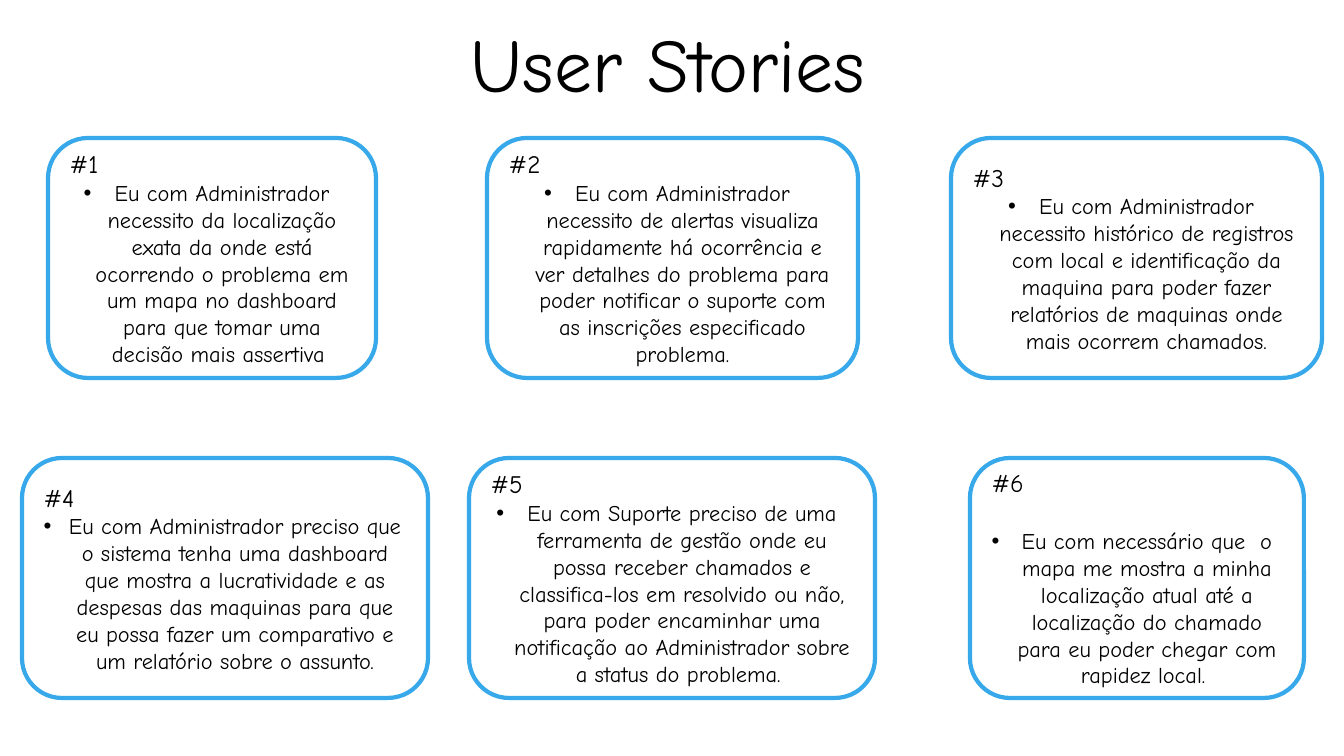
"""Build the User Stories slide: a title above six rounded story cards."""
from dataclasses import dataclass

from lxml.etree import SubElement
from pptx import Presentation
from pptx.dml.color import RGBColor
from pptx.enum.shapes import MSO_SHAPE
from pptx.enum.text import MSO_ANCHOR, MSO_AUTO_SIZE, PP_ALIGN
from pptx.oxml.ns import qn
from pptx.util import Emu, Pt

HEADING = "User Stories "
STORIES = [
    "Eu com Administrador necessito da localização exata da onde está ocorrendo "
    "o problema em um mapa no dashboard para que tomar uma decisão mais assertiva ",
    "Eu com Administrador necessito de alertas visualiza rapidamente há ocorrência e "
    "ver detalhes do problema para poder notificar o suporte com as inscrições "
    "especificado problema.",
    "Eu com Administrador necessito histórico de registros com local e identificação "
    "da maquina para poder fazer relatórios de maquinas onde mais ocorrem chamados.",
    "Eu com Administrador preciso que o sistema tenha uma dashboard que mostra a "
    "lucratividade e as despesas das maquinas para que eu possa fazer um comparativo "
    "e um relatório sobre o assunto.",
    "Eu com Suporte preciso de uma ferramenta de gestão onde eu possa receber chamados "
    "e classifica-los em resolvido ou não, para poder encaminhar uma notificação ao "
    "Administrador sobre a status do problema. ",
    "Eu com necessário que  o mapa me mostra a minha localização atual até a "
    "localização do chamado para eu poder chegar com rapidez local. ",
]
CARD_SPANS = [(48, 328), (487, 371), (951, 371), (22, 406), (469, 406), (970, 334)]
NUMBER_GAPS = {6: 21}
ROW_TOPS = (138, 458)
CARDS_PER_ROW = 3
CARD_HEIGHT = 240
HEADING_BOX = (78, 20, 1205, 94)
STORY_MARGIN, BULLET_INDENT = 20, -31


@dataclass(frozen=True)
class Theme:
    """Colours, font and type sizes of the slide."""
    font: str = "Comic Neue"
    ink: RGBColor = RGBColor(0, 0, 0)
    paper: RGBColor = RGBColor(255, 255, 255)
    border: RGBColor = RGBColor(0x37, 0xA8, 0xE9)
    border_width: int = 3
    heading: int = 54
    number: int = 18
    story: int = 16


THEME = Theme()


def px(length):
    """Convert whole pixels to EMU."""
    return Emu(round(length * 914400 / 100.8))


def write(paragraph, text, size, align):
    """Add one themed run to a paragraph."""
    paragraph.alignment = align
    run = paragraph.add_run()
    run.text = text
    run.font.name = THEME.font
    run.font.size = Pt(size)
    run.font.color.rgb = THEME.ink


def add_bullet(paragraph):
    """Give a paragraph a hanging round bullet."""
    properties = paragraph._p.get_or_add_pPr()
    properties.set("marL", str(px(STORY_MARGIN)))
    properties.set("indent", str(px(BULLET_INDENT)))
    SubElement(properties, qn("a:buFont")).set("typeface", "Arial")
    SubElement(properties, qn("a:buChar")).set("char", "•")


def add_card(slide, number, story, box):
    """Draw one numbered story card."""
    card = slide.shapes.add_shape(MSO_SHAPE.ROUNDED_RECTANGLE, *map(px, box))
    card.shadow.inherit = False
    card.fill.solid()
    card.fill.fore_color.rgb = THEME.paper
    card.line.color.rgb = THEME.border
    card.line.width = Pt(THEME.border_width)
    frame = card.text_frame
    frame.word_wrap = True
    frame.vertical_anchor = MSO_ANCHOR.MIDDLE
    label = frame.paragraphs[0]
    write(label, f"#{number}", THEME.number, PP_ALIGN.LEFT)
    label.space_after = Pt(NUMBER_GAPS.get(number, 0))
    body = frame.add_paragraph()
    write(body, story, THEME.story, PP_ALIGN.CENTER)
    add_bullet(body)


def add_heading(slide):
    """Place and format the slide title."""
    title = slide.shapes.title
    title.left, title.top, title.width, title.height = map(px, HEADING_BOX)
    frame = title.text_frame
    frame.auto_size = MSO_AUTO_SIZE.NONE
    frame.word_wrap = True
    frame.vertical_anchor = MSO_ANCHOR.BOTTOM
    paragraph = frame.paragraphs[0]
    paragraph.line_spacing = 0.9
    write(paragraph, HEADING, THEME.heading, PP_ALIGN.CENTER)


deck = Presentation()
deck.slide_width, deck.slide_height = px(1344), px(756)
stories_slide = deck.slides.add_slide(deck.slide_layouts[5])
stories_slide.background.fill.solid()
stories_slide.background.fill.fore_color.rgb = THEME.paper
add_heading(stories_slide)
for index, (story, (left, width)) in enumerate(zip(STORIES, CARD_SPANS)):
    top = ROW_TOPS[index // CARDS_PER_ROW]
    add_card(stories_slide, index + 1, story, (left, top, width, CARD_HEIGHT))
deck.save("out.pptx")
